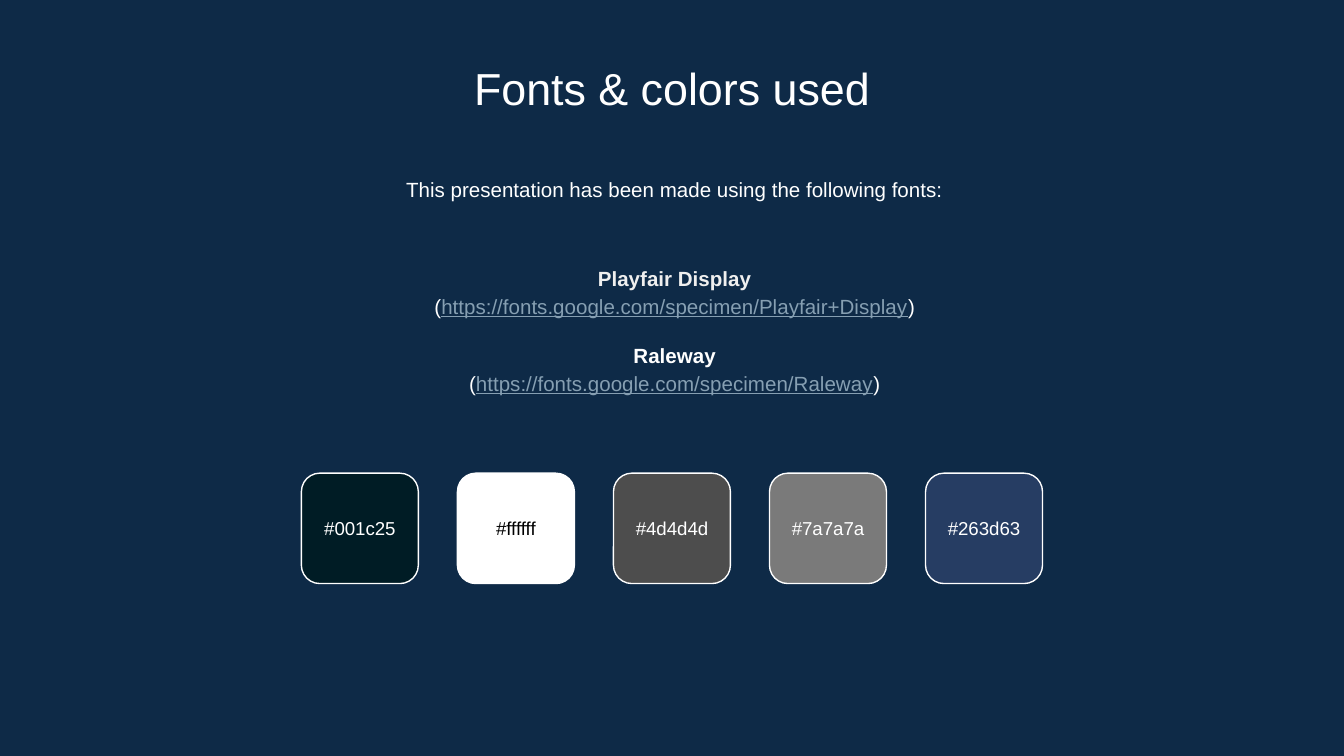
from pptx import Presentation
from pptx.dml.color import RGBColor
from pptx.enum.shapes import MSO_SHAPE
from pptx.enum.text import MSO_ANCHOR, PP_ALIGN
from pptx.util import Inches, Pt

THEME = {
    "font": "Arial",
    "background": "0E2A47",
    "light": "FFFFFF",
    "dark": "000000",
    "soft": "EFEFEF",
    "link": "869FB2",
    "title": 24,
    "body": 11,
    "label": 10,
    "font_gap": 11,
    "outline": 0.75,
}

presentation = Presentation()
presentation.slide_width = Inches(10)
presentation.slide_height = presentation.slide_width * 9 // 16
column = presentation.slide_width / 100
row = presentation.slide_height / 100
slide = presentation.slides.add_slide(presentation.slide_layouts[6])
slide.background.fill.solid()
slide.background.fill.fore_color.rgb = RGBColor.from_string(THEME["background"])


def place(left, top, width, height):
    return [int(length) for length in (left * column, top * row, width * column, height * row)]


def write(shape, paragraphs, size, anchor=MSO_ANCHOR.MIDDLE, margin=0.1):
    frame = shape.text_frame
    frame_format = {"word_wrap": True, "vertical_anchor": anchor}
    for side in ("left", "top", "right", "bottom"):
        frame_format[f"margin_{side}"] = Inches(margin)
    for name, value in frame_format.items():
        setattr(frame, name, value)
    for index, (paragraph_format, runs) in enumerate(paragraphs):
        paragraph = frame.add_paragraph() if index else frame.paragraphs[0]
        for name, value in {"alignment": PP_ALIGN.CENTER, **paragraph_format}.items():
            setattr(paragraph, name, value)
        for text, color, font_format in runs:
            run = paragraph.add_run()
            run.text = text
            run.font.color.rgb = RGBColor.from_string(THEME[color])
            base_format = {"name": THEME["font"], "size": Pt(THEME[size])}
            for name, value in {**base_format, **font_format}.items():
                setattr(run.font, name, value)


title = slide.shapes.add_textbox(*place(11.45, 6.25, 77.1, 9.4))
write(title, [({}, [("Fonts & colors used", "light", {})])], "title", MSO_ANCHOR.TOP)

spacing = {"line_spacing": 1.15}
introduction = slide.shapes.add_textbox(*place(11.65, 21.2, 77.1, 8.5))
introduction_text = "This presentation has been made using the following fonts:"
write(introduction, [(spacing, [(introduction_text, "light", {})])], "body", MSO_ANCHOR.TOP)

fonts = [
    ("Playfair Display", "soft", "https://fonts.google.com/specimen/Playfair+Display"),
    ("Raleway", "light", "https://fonts.google.com/specimen/Raleway"),
]
font_lines = []
for index, (font_name, color, address) in enumerate(fonts):
    gap = {"space_before": Pt(THEME["font_gap"])} if index else {}
    font_lines.append(({**spacing, **gap}, [(font_name, color, {"bold": True})]))
    address_runs = [("(", "light", {}), (address, "link", {"underline": True}), (")", "light", {})]
    font_lines.append((spacing, address_runs))
font_list = slide.shapes.add_textbox(*place(11.65, 31.3, 77.1, 24.4))
write(font_list, font_lines, "body")

swatches = ["001c25", "ffffff", "4d4d4d", "7a7a7a", "263d63"]
swatch_width, swatch_gap = 8.7, 2.91
palette_width = len(swatches) * (swatch_width + swatch_gap) - swatch_gap
palette_left = (100 - palette_width) / 2
for index, color in enumerate(swatches):
    left = palette_left + index * (swatch_width + swatch_gap)
    swatch = slide.shapes.add_shape(
        MSO_SHAPE.ROUNDED_RECTANGLE, *place(left, 62.6, swatch_width, 14.6)
    )
    swatch.shadow.inherit = False
    swatch.fill.solid()
    swatch.fill.fore_color.rgb = RGBColor.from_string(color.upper())
    swatch.line.color.rgb = RGBColor.from_string(THEME["light"])
    swatch.line.width = Pt(THEME["outline"])
    label_color = "dark" if color == "ffffff" else "light"
    write(swatch, [({}, [(f"#{color}", label_color, {})])], "label", margin=0.05)

presentation.save("out.pptx")
